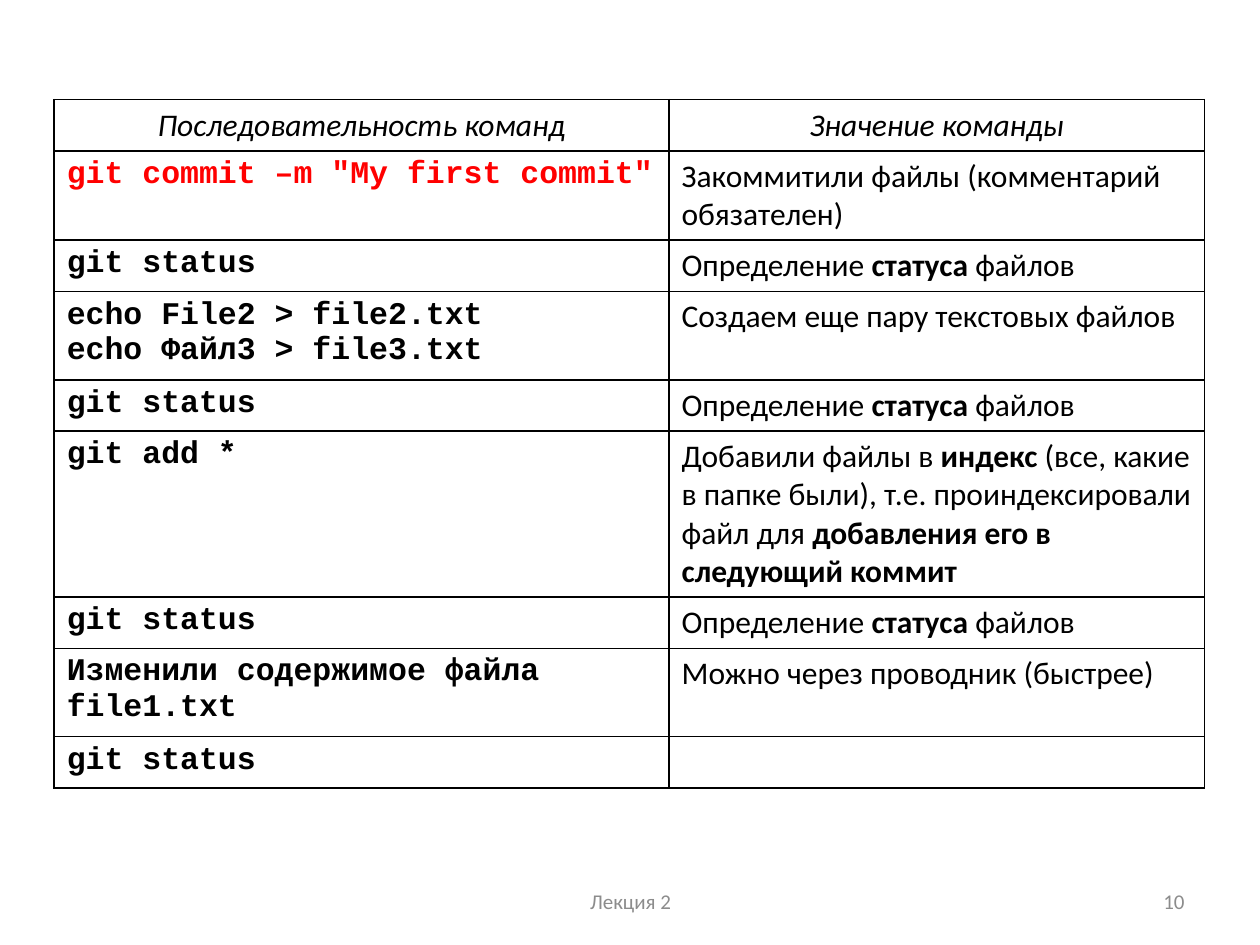
import lxml.etree
import pptx
import pptx.dml.color
import pptx.enum.text
import pptx.oxml
import pptx.oxml.ns
import pptx.util

IN = pptx.util.Inches
ALIGN = pptx.enum.text.PP_ALIGN
ANCHOR = pptx.enum.text.MSO_ANCHOR
W, H = IN(10), IN(7.5)

STATUS = ("git status", "Определение **статуса** файлов")
HEADER = ("Последовательность команд", "Значение команды")
ROWS = [
    ('git commit –m "My first commit"', "Закоммитили файлы (комментарий обязателен)"),
    STATUS,
    ("echo File2 > file2.txt\necho Файл3 > file3.txt", "Создаем еще пару текстовых файлов"),
    STATUS,
    ("git add *", "Добавили файлы в **индекс **(все, какие в папке были), "
                  "т.е. проиндексировали файл для **добавления его в следующий коммит**"),
    STATUS,
    ("Изменили содержимое файла file1.txt", "Можно через проводник (быстрее)"),
    ("git status", ""),
]
ROW_LINES = [1, 2, 1, 2, 1, 4, 1, 2, 1]
ROW_HEIGHTS = [0.41, 0.71, 0.41, 0.67, 0.41, 1.32, 0.41, 0.67, 0.41]

BODY = {"name": "Calibri", "size": pptx.util.Pt(18), "color": "000000"}
HEAD = {**BODY, "italic": True}
CODE = {**BODY, "name": "Courier New", "bold": True}
ACCENT = {**CODE, "color": "FF0000"}
FOOTER = {**BODY, "size": pptx.util.Pt(12), "color": "8C8C8C"}


def rgb(value):
    return pptx.dml.color.RGBColor.from_string(value)


def set_font(font, fmt):
    for key, value in fmt.items():
        if key == "color":
            font.color.rgb = rgb(value)
        else:
            setattr(font, key, value)


def write(tf, text, fmt, align=ALIGN.LEFT):
    for i, line in enumerate(text.split("\n")):
        p = tf.add_paragraph() if i else tf.paragraphs[0]
        p.alignment = align
        if not line:
            set_font(p.font, fmt)
        for j, part in enumerate(line.split("**")):
            if part:
                r = p.add_run()
                r.text = part
                set_font(r.font, {**fmt, "bold": True} if j % 2 else fmt)


def add_borders(cell, color, width):
    tc_pr = cell._tc.get_or_add_tcPr()
    ns = pptx.oxml.ns.nsdecls("a")
    for i, side in enumerate(("lnL", "lnR", "lnT", "lnB")):
        tc_pr.insert(i, pptx.oxml.parse_xml(
            f'<a:{side} {ns} w="{pptx.util.Pt(width)}"><a:solidFill>'
            f'<a:srgbClr val="{color}"/></a:solidFill></a:{side}>'))


def add_commands(slide, x, y, w, h):
    rows = [HEADER] + ROWS
    table = slide.shapes.add_table(len(rows), 2, x, y, w, h).table
    table.first_row = table.horz_banding = False
    table.columns[0].width = int(w * 0.5345)
    table.columns[1].width = w - table.columns[0].width
    for i, texts in enumerate(rows):
        table.rows[i].height = int(h * ROW_HEIGHTS[i] / sum(ROW_HEIGHTS))
        formats = {0: (HEAD, HEAD), 1: (ACCENT, BODY)}.get(i, (CODE, BODY))
        for j, (text, fmt) in enumerate(zip(texts, formats)):
            cell = table.cell(i, j)
            cell.fill.background()
            cell.vertical_anchor = ANCHOR.TOP if i else ANCHOR.MIDDLE
            write(cell.text_frame, text, fmt, ALIGN.LEFT if i else ALIGN.CENTER)
            add_borders(cell, "000000", 1)


def add_footer(slide, x, y, w, h, text, align):
    tf = slide.shapes.add_textbox(x, y, w, h).text_frame
    tf.word_wrap = True
    tf.vertical_anchor = ANCHOR.MIDDLE
    write(tf, text, FOOTER, align)


def main():
    prs = pptx.Presentation()
    prs.slide_width, prs.slide_height = W, H
    slide = prs.slides.add_slide(prs.slide_layouts[6])
    add_footer(slide, IN(3.42), IN(6.95), IN(3.17), IN(0.4), "Лекция 2", ALIGN.CENTER)
    add_footer(slide, IN(7.17), IN(6.95), IN(2.33), IN(0.4), "10", ALIGN.RIGHT)
    add_commands(slide, IN(0.43), IN(0.79), IN(9.13), IN(5.4))
    prs.save("out.pptx")


if __name__ == "__main__":
    main()
